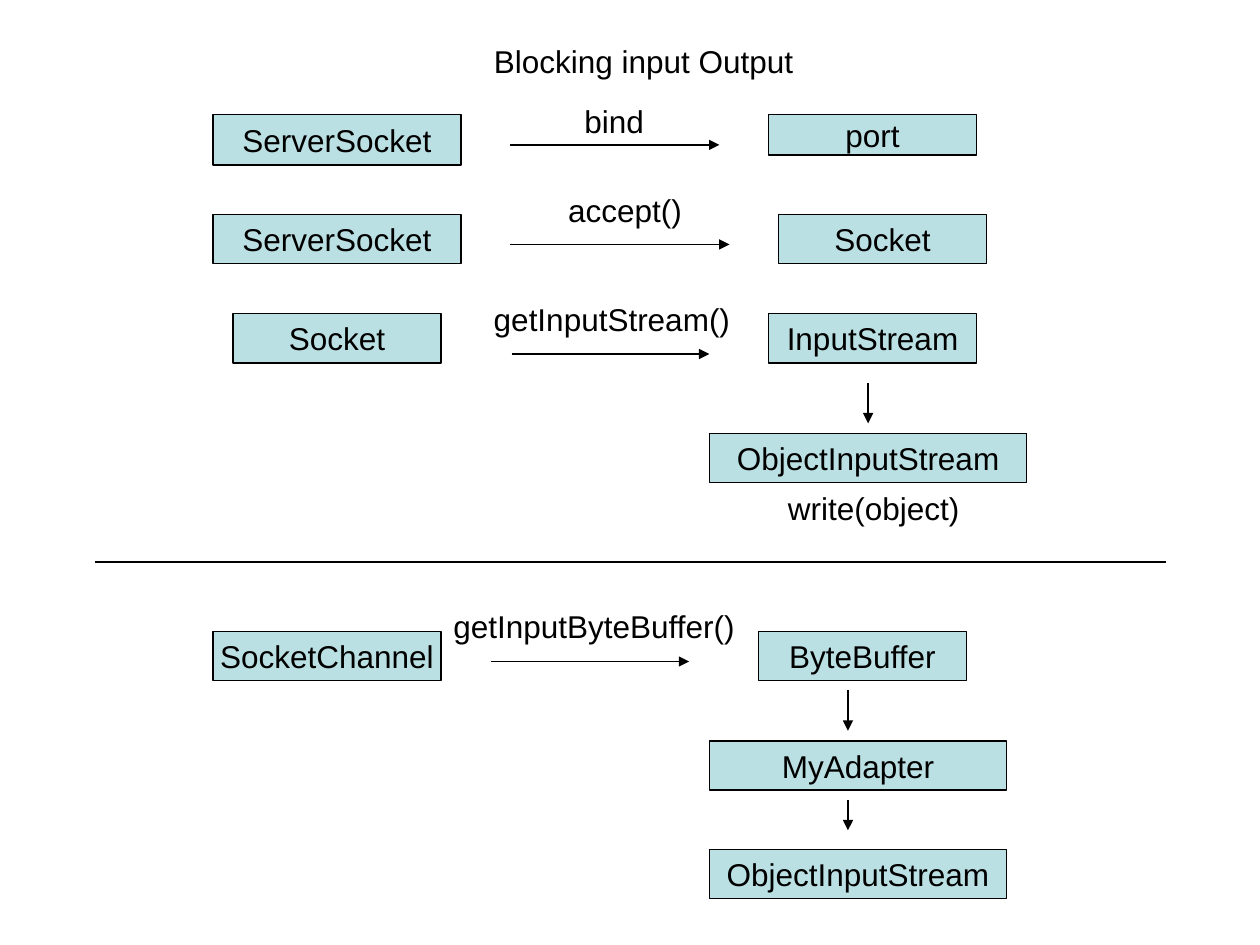
from dataclasses import dataclass

from lxml import etree
from pptx import Presentation
from pptx import util as u
from pptx.dml.color import RGBColor
from pptx.enum import shapes, text
from pptx.oxml import ns


@dataclass(frozen=True)
class Theme:
    font: str = "Arial"
    size: int = 18
    ink: RGBColor = RGBColor(0x00, 0x00, 0x00)
    box_fill: RGBColor = RGBColor(0xBB, 0xE0, 0xE3)
    line_width: float = 0.75


@dataclass(frozen=True)
class Node:
    name: str
    left: float
    top: float
    width: float
    height: float = 0.39


@dataclass(frozen=True)
class Label:
    words: str
    left: float
    top: float
    width: float
    align: text.PP_ALIGN = text.PP_ALIGN.CENTER


@dataclass(frozen=True)
class Line:
    x: float
    y: float
    across: float = 0
    down: float = 0
    arrow: bool = True


THEME = Theme()
LABEL_HEIGHT = 0.4
LEFT = text.PP_ALIGN.LEFT

TITLE = Label("Blocking input Output", 3.82, 0.28, 2.68, LEFT)

NODES = [
    # Blocking calls
    Node("ServerSocket", 1.69, 0.91, 1.97, 0.4),
    Node("port", 6.1, 0.91, 1.65, 0.32),
    Node("ServerSocket", 1.69, 1.7, 1.97),
    Node("Socket", 6.18, 1.7, 1.65),
    Node("Socket", 1.85, 2.49, 1.65),
    Node("InputStream", 6.1, 2.49, 1.65),
    Node("ObjectInputStream", 5.63, 3.44, 2.52),
    # Channel calls
    Node("SocketChannel", 1.69, 5.01, 1.81),
    Node("ByteBuffer", 6.02, 5.01, 1.65),
    Node("MyAdapter", 5.63, 5.88, 2.36),
    Node("ObjectInputStream", 5.63, 6.74, 2.36),
]

LABELS = [
    Label("bind", 4.13, 0.76, 1.49),
    Label("accept()", 3.9, 1.47, 2.12),
    Label("getInputStream()", 3.82, 2.33, 2.21, LEFT),
    Label("write(object)", 5.87, 3.83, 2.13),
    Label("getInputByteBuffer()", 3.5, 4.77, 2.76, LEFT),
]

LINES = [
    # Calls, left to right
    Line(4.05, 1.15, across=1.66),
    Line(4.05, 1.94, across=1.74),
    Line(4.06, 2.81, across=1.57),
    Line(3.9, 5.25, across=1.57),
    # Wrapping steps, downwards
    Line(6.89, 3.04, down=0.32),
    Line(6.73, 5.48, down=0.32),
    Line(6.73, 6.35, down=0.24),
    # Divider between the two halves
    Line(0.75, 4.46, across=8.5, arrow=False),
]


def write(shape, words: str, align: text.PP_ALIGN, anchor: text.MSO_ANCHOR, wrap: bool) -> None:
    frame = shape.text_frame
    frame.text = words
    frame.word_wrap = wrap
    frame.auto_size = text.MSO_AUTO_SIZE.NONE
    frame.vertical_anchor = anchor
    para = frame.paragraphs[0]
    para.alignment = align
    font = para.runs[0].font
    font.name, font.size = THEME.font, u.Pt(THEME.size)
    font.color.rgb = THEME.ink


def style_line(line) -> None:
    line.color.rgb = THEME.ink
    line.width = u.Pt(THEME.line_width)


def draw_node(page, node: Node) -> None:
    box = page.shapes.add_shape(
        shapes.MSO_SHAPE.RECTANGLE, u.Inches(node.left), u.Inches(node.top),
        u.Inches(node.width), u.Inches(node.height))
    box.shadow.inherit = False
    box.fill.solid()
    box.fill.fore_color.rgb = THEME.box_fill
    style_line(box.line)
    write(box, node.name, text.PP_ALIGN.CENTER, text.MSO_ANCHOR.MIDDLE, wrap=False)


def place_label(box, label: Label) -> None:
    box.left, box.top = u.Inches(label.left), u.Inches(label.top)
    box.width, box.height = u.Inches(label.width), u.Inches(LABEL_HEIGHT)
    write(box, label.words, label.align, text.MSO_ANCHOR.TOP, wrap=True)


def draw_line(page, line: Line) -> None:
    connector = page.shapes.add_connector(
        shapes.MSO_CONNECTOR.STRAIGHT, u.Inches(line.x), u.Inches(line.y),
        u.Inches(line.x + line.across), u.Inches(line.y + line.down))
    style_line(connector.line)
    if line.arrow:
        outline = connector.line._get_or_add_ln()
        etree.SubElement(outline, ns.qn("a:tailEnd"), type="triangle")
    etree.SubElement(connector._element.spPr, ns.qn("a:effectLst"))


def main() -> None:
    deck = Presentation()
    deck.slide_width, deck.slide_height = u.Inches(10), u.Inches(7.5)
    page = deck.slides.add_slide(deck.slide_layouts.get_by_name("Title Only"))

    place_label(page.shapes.title, TITLE)
    for node in NODES:
        draw_node(page, node)
    for line in LINES:
        draw_line(page, line)
    for label in LABELS:
        place_label(page.shapes.add_textbox(0, 0, 0, 0), label)

    deck.save("out.pptx")


if __name__ == "__main__":
    main()
